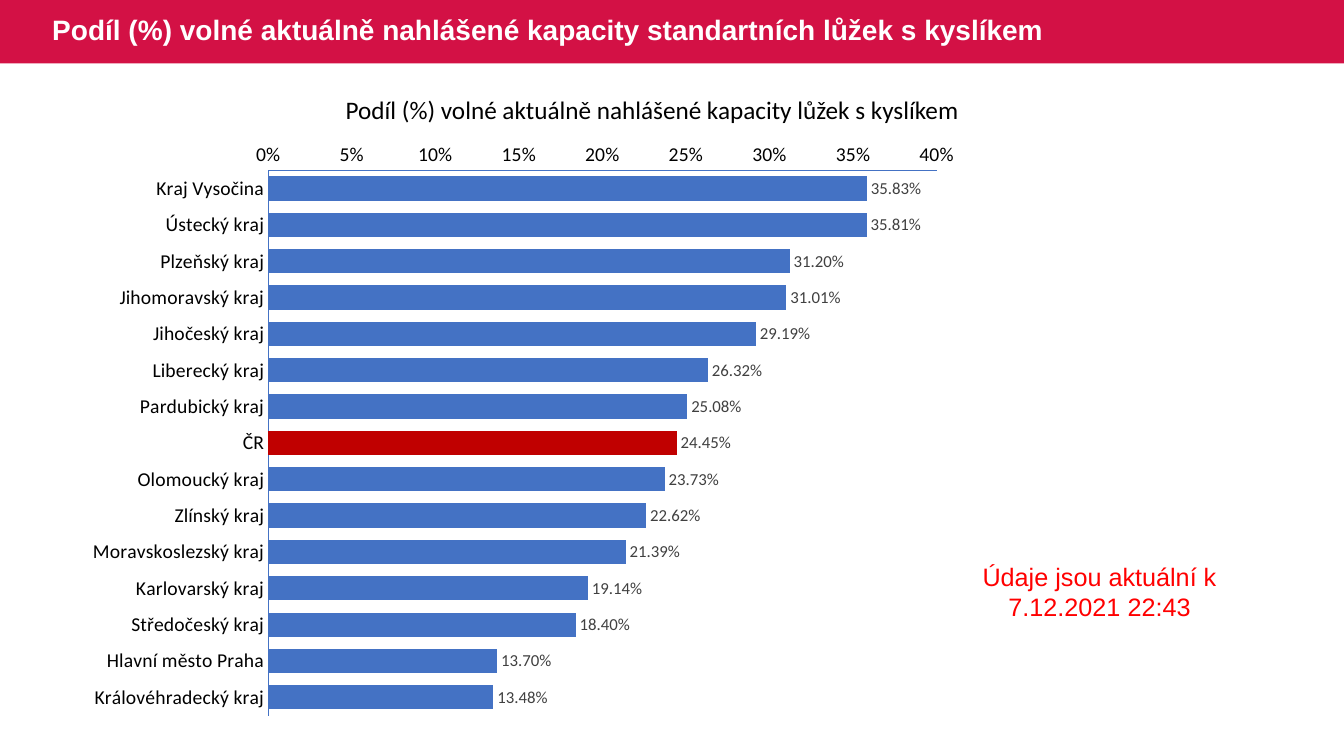
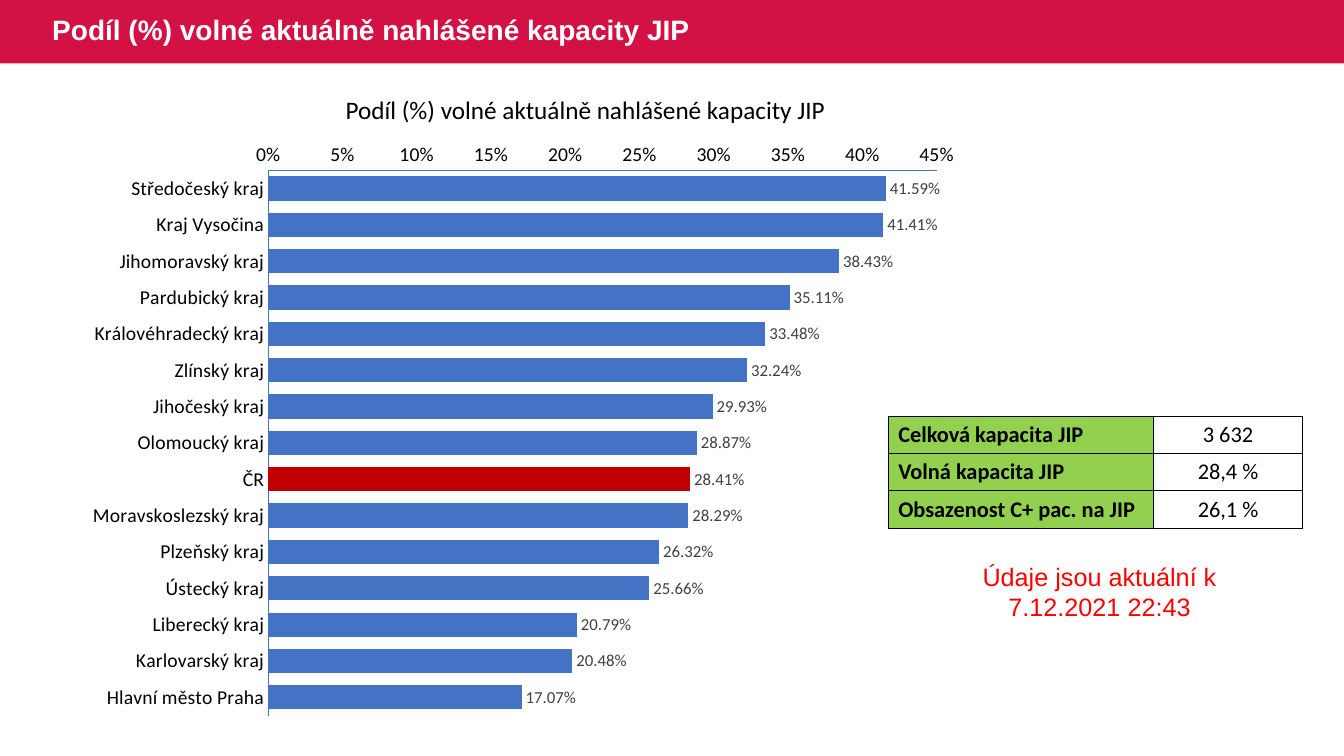
import pptx
import pptx.chart.data
import pptx.dml.color
import pptx.enum.chart
import pptx.enum.shapes
import pptx.enum.text
import pptx.oxml
import pptx.oxml.ns
import pptx.util
from pptx.util import Inches

COLORS = {
    "band": "D31145", "white": "FFFFFF", "black": "000000", "bar": "4472C4",
    "country": "C00000", "label": "404040", "notice": "FF0000", "header": "92D050",
}
COUNTRY = "ČR"
NOTICE = "Údaje jsou aktuální k 7.12.2021 22:43"
SLIDES = [
    {
        "title": "Podíl (%) volné aktuálně nahlášené kapacity standartních lůžek s kyslíkem",
        "chart_title": "Podíl (%) volné aktuálně nahlášené kapacity lůžek s kyslíkem",
        "chart_title_width": 6.35,
        "maximum": 0.40,
        "shares": [
            ("Kraj Vysočina", 0.3583), ("Ústecký kraj", 0.3581),
            ("Plzeňský kraj", 0.3120), ("Jihomoravský kraj", 0.3101),
            ("Jihočeský kraj", 0.2919), ("Liberecký kraj", 0.2632),
            ("Pardubický kraj", 0.2508), (COUNTRY, 0.2445),
            ("Olomoucký kraj", 0.2373), ("Zlínský kraj", 0.2262),
            ("Moravskoslezský kraj", 0.2139), ("Karlovarský kraj", 0.1914),
            ("Středočeský kraj", 0.1840), ("Hlavní město Praha", 0.1370),
            ("Královéhradecký kraj", 0.1348),
        ],
        "summary": [],
    },
    {
        "title": "Podíl (%) volné aktuálně nahlášené kapacity JIP",
        "chart_title": "Podíl (%) volné aktuálně nahlášené kapacity JIP",
        "chart_title_width": 5.13,
        "maximum": 0.45,
        "shares": [
            ("Středočeský kraj", 0.4159), ("Kraj Vysočina", 0.4141),
            ("Jihomoravský kraj", 0.3843), ("Pardubický kraj", 0.3511),
            ("Královéhradecký kraj", 0.3348), ("Zlínský kraj", 0.3224),
            ("Jihočeský kraj", 0.2993), ("Olomoucký kraj", 0.2887),
            (COUNTRY, 0.2841), ("Moravskoslezský kraj", 0.2829),
            ("Plzeňský kraj", 0.2632), ("Ústecký kraj", 0.2566),
            ("Liberecký kraj", 0.2079), ("Karlovarský kraj", 0.2048),
            ("Hlavní město Praha", 0.1707),
        ],
        "summary": [
            ("Celková kapacita JIP", "3 632"),
            ("Volná kapacita JIP", "28,4 %"),
            ("Obsazenost C+ pac. na JIP", "26,1 %"),
        ],
    },
]

SLIDE_WIDTH, SLIDE_HEIGHT, BAND_HEIGHT = 13.33, 7.5, 0.63
CHART_BOX = (0.74, 1.3, 8.89, 5.93)
PLOT_BOX = (2.66, 1.69, 6.63, 5.41)
TABLE_LEFT, TABLE_TOP, ROW_HEIGHT = 8.81, 4.13, 0.37
COLUMN_WIDTHS = (2.63, 1.48)

CENTER = pptx.enum.text.PP_ALIGN.CENTER
MIDDLE = pptx.enum.text.MSO_ANCHOR.MIDDLE
TITLE_FONT = {"name": "Arial", "size": 20, "bold": True, "color": "white"}
CHART_TITLE_FONT = {"name": "Calibri", "size": 18, "color": "black"}
NOTICE_FONT = {"name": "Arial", "size": 18, "color": "notice"}
AXIS_FONT = {"name": "Calibri", "size": 14, "color": "black"}
LABEL_FONT = {"name": "Calibri", "size": 12, "color": "label"}
HEADER_FONT = {"name": "Calibri", "size": 16, "bold": True, "color": "black"}
VALUE_FONT = {**HEADER_FONT, "bold": False}


def rgb(name):
    return pptx.dml.color.RGBColor.from_string(COLORS[name])


def fill_with(part, color):
    part.fill.solid()
    part.fill.fore_color.rgb = rgb(color)


def format_font(font, values):
    for key, value in values.items():
        if key == "color":
            font.color.rgb = rgb(value)
        else:
            setattr(font, key, pptx.util.Pt(value) if key == "size" else value)


def add_text(slide, text, box, font, wrap=True, paragraph_format=None, anchor=None):
    frame = slide.shapes.add_textbox(*map(Inches, box)).text_frame
    frame.word_wrap = wrap
    if anchor is not None:
        frame.vertical_anchor = anchor
    paragraph = frame.paragraphs[0]
    paragraph.text = text
    for key, value in (paragraph_format or {}).items():
        setattr(paragraph, key, value)
    format_font(paragraph.runs[0].font, font)


def add_title_band(slide, title):
    band = slide.shapes.add_shape(
        pptx.enum.shapes.MSO_SHAPE.RECTANGLE, 0, 0, Inches(SLIDE_WIDTH), Inches(BAND_HEIGHT))
    band.shadow.inherit = False
    fill_with(band, "band")
    band.line.fill.background()
    add_text(slide, title, (0.42, 0, 11.56, BAND_HEIGHT), TITLE_FONT,
             paragraph_format={"line_spacing": 0.9}, anchor=MIDDLE)


def place_plot(chart):
    left, top, width, height = CHART_BOX
    plot_left, plot_top, plot_width, plot_height = PLOT_BOX
    settings = {
        "layoutTarget": "inner", "xMode": "edge", "yMode": "edge",
        "x": round((plot_left - left) / width, 4),
        "y": round((plot_top - top) / height, 4),
        "w": round(plot_width / width, 4),
        "h": round(plot_height / height, 4),
    }
    items = "".join(f'<c:{key} val="{value}"/>' for key, value in settings.items())
    plot_area = chart._chartSpace.find(".//" + pptx.oxml.ns.qn("c:plotArea"))
    for layout in plot_area.findall(pptx.oxml.ns.qn("c:layout")):
        plot_area.remove(layout)
    plot_area.insert(0, pptx.oxml.parse_xml(
        f'<c:layout {pptx.oxml.ns.nsdecls("c")}><c:manualLayout>{items}</c:manualLayout></c:layout>'))


def add_share_chart(slide, shares, maximum):
    names, values = zip(*shares)
    data = pptx.chart.data.CategoryChartData(number_format="0.00%")
    data.categories = names
    data.add_series("Series 1", values)
    chart = slide.shapes.add_chart(
        pptx.enum.chart.XL_CHART_TYPE.BAR_CLUSTERED, *map(Inches, CHART_BOX), data).chart
    format_font(chart.font, {"name": "Calibri", "size": 10, "color": "black"})
    chart.has_legend = False
    chart.has_title = False
    for axis in (chart.category_axis, chart.value_axis):
        axis.has_major_gridlines = False
        axis.major_tick_mark = pptx.enum.chart.XL_TICK_MARK.NONE
        axis.minor_tick_mark = pptx.enum.chart.XL_TICK_MARK.NONE
        format_font(axis.tick_labels.font, AXIS_FONT)
        axis.format.line.color.rgb = rgb("bar")
        axis.format.line.width = pptx.util.Pt(0.75)
    chart.category_axis.reverse_order = True
    scale = {"minimum_scale": 0, "maximum_scale": maximum, "major_unit": 0.05}
    for key, value in scale.items():
        setattr(chart.value_axis, key, value)
    chart.value_axis.tick_labels.number_format = "0%"
    chart.value_axis.tick_labels.number_format_is_linked = False

    plot = chart.plots[0]
    plot.gap_width = 50
    plot.vary_by_categories = False
    series = plot.series[0]
    fill_with(series.format, "bar")
    fill_with(series.points[names.index(COUNTRY)].format, "country")
    labels = series.data_labels
    label_settings = {
        "show_value": True, "number_format": "0.00%", "number_format_is_linked": False,
        "position": pptx.enum.chart.XL_LABEL_POSITION.OUTSIDE_END,
    }
    for key, value in label_settings.items():
        setattr(labels, key, value)
    format_font(labels.font, LABEL_FONT)
    place_plot(chart)


def add_borders(cell):
    properties = cell._tc.get_or_add_tcPr()
    for position, side in enumerate(("lnL", "lnR", "lnT", "lnB")):
        properties.insert(position, pptx.oxml.parse_xml(
            f'<a:{side} {pptx.oxml.ns.nsdecls("a")} w="{pptx.util.Pt(0.75)}"><a:solidFill>'
            f'<a:srgbClr val="{COLORS["black"]}"/></a:solidFill></a:{side}>'))


def add_summary(slide, rows):
    box = (TABLE_LEFT, TABLE_TOP, sum(COLUMN_WIDTHS), ROW_HEIGHT * len(rows))
    table = slide.shapes.add_table(len(rows), len(COLUMN_WIDTHS), *map(Inches, box)).table
    table.first_row = False
    table.horz_banding = False
    for column, width in zip(table.columns, COLUMN_WIDTHS):
        column.width = Inches(width)
    for row_index, row in enumerate(rows):
        for column_index, text in enumerate(row):
            cell = table.cell(row_index, column_index)
            cell.text = text
            paragraph = cell.text_frame.paragraphs[0]
            if column_index == 0:
                fill_with(cell, "header")
                format_font(paragraph.runs[0].font, HEADER_FONT)
            else:
                cell.fill.background()
                cell.vertical_anchor = MIDDLE
                paragraph.alignment = CENTER
                format_font(paragraph.runs[0].font, VALUE_FONT)
            add_borders(cell)


def main():
    presentation = pptx.Presentation()
    presentation.slide_width = Inches(SLIDE_WIDTH)
    presentation.slide_height = Inches(SLIDE_HEIGHT)
    for content in SLIDES:
        slide = presentation.slides.add_slide(presentation.slide_layouts[6])
        add_title_band(slide, content["title"])
        add_share_chart(slide, content["shares"], content["maximum"])
        add_text(slide, content["chart_title"],
                 (3.33, 0.89, content["chart_title_width"], 0.4), CHART_TITLE_FONT, wrap=False)
        if content["summary"]:
            add_summary(slide, content["summary"])
        add_text(slide, NOTICE, (9.63, 5.52, 2.55, 0.71), NOTICE_FONT,
                 paragraph_format={"alignment": CENTER})
    presentation.save("out.pptx")


if __name__ == "__main__":
    main()
